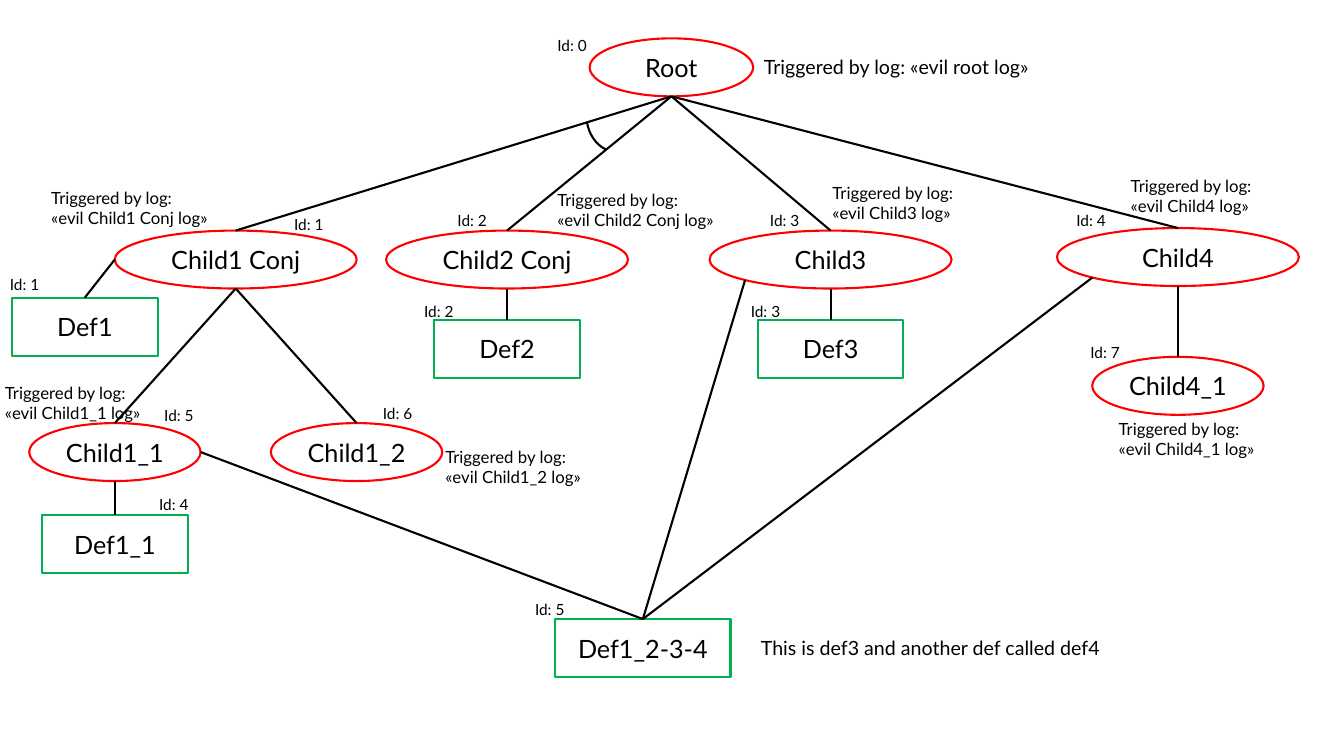
"""Build a tree slide of triggered nodes and their definitions."""
from lxml import etree
from pptx import Presentation
from pptx.dml.color import RGBColor
from pptx.enum import shapes, text
from pptx.oxml import ns
from pptx.util import Pt

FONT, BLACK, RED, GREEN = "Lato", "000000", "FF0000", "00B050"
NODE_HEIGHT, LINE_WIDTH = 41.4, 1.5

# name: (left, top, width, id, id left, id top)
TRIGGERS = {
    "Root": (421.2, 27.4, 116.8, 0, 391, 22.3),
    "Child1 Conj": (82, 164.7, 172.8, 1, 203, 149.8),
    "Child2 Conj": (275.8, 164.7, 172.8, 2, 319.7, 147.6),
    "Child3": (506.9, 164.7, 172.8, 3, 542.9, 147.6),
    "Child4": (755, 162.9, 172.8, 4, 761.8, 147.6),
    "Child1_1": (20.9, 302.2, 122.4, 5, 110.2, 286.6),
    "Child1_2": (193.5, 302.2, 122.4, 6, 266.4, 285.1),
    "Child4_1": (780.2, 254.9, 122.4, 7, 771.8, 241.2),
}
DEFINITIONS = {
    "Def1": (8.6, 212.6, 104, 1, 0, 193),
    "Def2": (310.2, 228.4, 104, 2, 295.9, 212.4),
    "Def3": (541.3, 228.4, 104, 3, 529.2, 212.4),
    "Def1_1": (30.1, 368.1, 104, 4, 106.6, 349.9),
    "Def1_2-3-4": (396.6, 442.2, 125.2, 5, 375.1, 424.8),
}

# parent, side it leaves from, child (reached at its top)
BRANCHES = [
    ("Root", "bottom", "Child1 Conj"),
    ("Root", "bottom", "Child2 Conj"),
    ("Root", "bottom", "Child3"),
    ("Root", "bottom", "Child4"),
    ("Child1 Conj", "bottom", "Child1_1"),
    ("Child1 Conj", "bottom", "Child1_2"),
    ("Child4", "bottom", "Child4_1"),
    ("Child1 Conj", "left", "Def1"),
    ("Child2 Conj", "bottom", "Def2"),
    ("Child3", "bottom", "Def3"),
    ("Child1_1", "bottom", "Def1_1"),
    ("Child1_1", "right", "Def1_2-3-4"),
    ("Child3", "lower left", "Def1_2-3-4"),
    ("Child4", "lower left", "Def1_2-3-4"),
]
DIAGONAL = 0.5 ** 0.5 / 2
SIDES = {
    "top": (0.5, 0),
    "bottom": (0.5, 1),
    "left": (0, 0.5),
    "right": (1, 0.5),
    "lower left": (0.5 - DIAGONAL, 0.5 + DIAGONAL),
}

LOGS = {
    "Child1 Conj": (29.5, 130.3),
    "Child2 Conj": (391, 131.8),
    "Child3": (587.5, 126.7),
    "Child4": (800.6, 121.7),
    "Child4_1": (792, 295.2),
    "Child1_2": (311, 315.4),
    "Child1_1": (-3.6, 270),
}
REMARKS = [
    ("Triggered by log: «evil root log»", 538.6, 36, 278.6),
    ("This is def3 and another def called def4", 536.4, 450.7, 262.1),
]


def color(value):
    return RGBColor.from_string(value)


def outline(part, value):
    part.line.color.rgb = color(value)
    part.line.width = Pt(LINE_WIDTH)


def write(frame, lines, size, align):
    frame.word_wrap = True
    for index, line in enumerate(lines):
        paragraph = frame.add_paragraph() if index else frame.paragraphs[0]
        paragraph.alignment = align
        run = paragraph.add_run()
        run.text = line
        run.font.name, run.font.size = FONT, Pt(size)
        run.font.color.rgb = color(BLACK)


def add_label(slide, lines, left, top, width, height, size):
    label = slide.shapes.add_textbox(Pt(left), Pt(top), Pt(width), Pt(height))
    write(label.text_frame, lines, size, text.PP_ALIGN.LEFT)


def add_outlined(slide, kind, left, top, width, height, line):
    part = slide.shapes.add_shape(kind, Pt(left), Pt(top), Pt(width), Pt(height))
    part.shadow.inherit = False
    part.fill.background()
    outline(part, line)
    return part


def add_nodes(slide, nodes, kind, line):
    for name, (left, top, width, number, id_left, id_top) in nodes.items():
        node = add_outlined(slide, kind, left, top, width, NODE_HEIGHT, line)
        node.text_frame.vertical_anchor = text.MSO_ANCHOR.MIDDLE
        write(node.text_frame, [name], 18, text.PP_ALIGN.CENTER)
        add_label(slide, [f"Id: {number}"], id_left, id_top, 38.9, 20.6, 11)


def side_point(name, side):
    left, top, width = {**TRIGGERS, **DEFINITIONS}[name][:3]
    across, down = SIDES[side]
    return Pt(left + across * width), Pt(top + down * NODE_HEIGHT)


def add_branch(slide, parent, side, child):
    branch = slide.shapes.add_connector(
        shapes.MSO_CONNECTOR.STRAIGHT, *side_point(child, "top"), *side_point(parent, side))
    outline(branch, BLACK)
    etree.SubElement(branch._element.spPr, ns.qn("a:effectLst"))


def main():
    deck = Presentation()
    deck.slide_width, deck.slide_height = Pt(960), Pt(540)
    slide = deck.slides.add_slide(deck.slide_layouts[6])

    add_nodes(slide, TRIGGERS, shapes.MSO_SHAPE.OVAL, RED)
    add_nodes(slide, DEFINITIONS, shapes.MSO_SHAPE.RECTANGLE, GREEN)
    for branch in BRANCHES:
        add_branch(slide, *branch)

    conjunction = add_outlined(slide, shapes.MSO_SHAPE.ARC, 419, 59, 41.8, 49.7, BLACK)
    conjunction.rotation = 172.8
    conjunction.adjustments[0] = 176.37
    conjunction.adjustments[1] = 214.1

    for name, (left, top) in LOGS.items():
        lines = ["Triggered by log:", f"«evil {name} log»"]
        add_label(slide, lines, left, top, 146.2, 36.3, 12)
    for remark, left, top, width in REMARKS:
        add_label(slide, [remark], left, top, width, 24.2, 14)
    deck.save("out.pptx")


if __name__ == "__main__":
    main()
